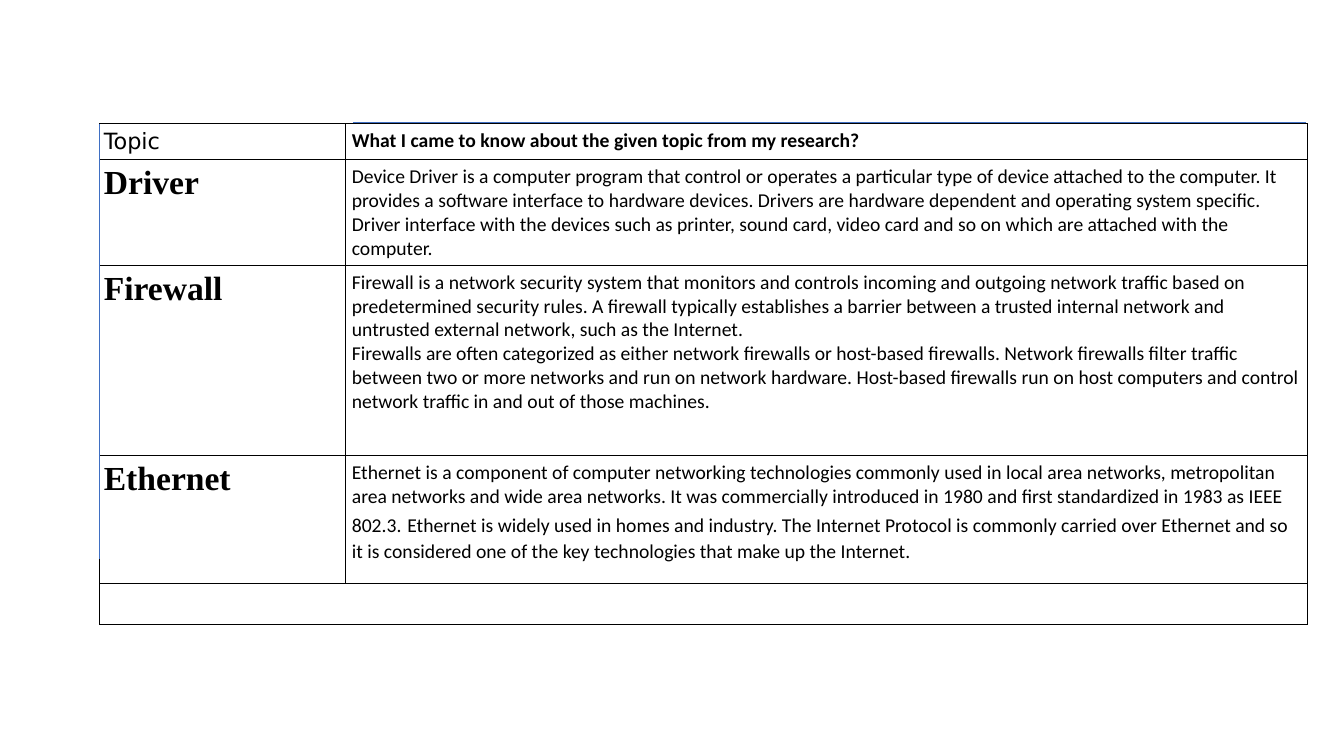
"""Build a slide with a table of research notes on three computing topics."""
from lxml.etree import SubElement
from pptx import Presentation
from pptx.dml.color import RGBColor
from pptx.enum.shapes import MSO_CONNECTOR as Connector
from pptx.oxml.ns import qn
from pptx.util import Inches, Pt

BLACK = RGBColor(0x00, 0x00, 0x00)
BLUE = RGBColor(0x3F, 0x6F, 0xC3)
STEP = Inches(0.01)
COLUMNS = [244, 954]
ROWS = [29, 98, 189, 127, 37]
LEFT, TOP = 99, 123
PADDING = [4, 6]

HEADING = ("Times New Roman", 24, True)
BODY = ("Calibri", 14, False)
NOTES = [
    (
        [[("Topic", "DejaVu Sans", 16, False)]],
        [[("What I came to know about the given topic from my research?", "Calibri", 14, True)]],
    ),
    (
        [[("Driver", *HEADING)]],
        [[("Device Driver is a computer program that control or operates a particular type of "
           "device attached to the computer. It provides a software interface to hardware devices. "
           "Drivers are hardware dependent and operating system specific. Driver interface with the "
           "devices such as printer, sound card, video card and so on which are attached with the "
           "computer.", *BODY)]],
    ),
    (
        [[("Firewall", *HEADING)]],
        [[("Firewall is a network security system that monitors and controls incoming and "
           "outgoing network traffic based on predetermined security rules. A firewall typically "
           "establishes a barrier between a trusted internal network and untrusted external network, "
           "such as the Internet.", *BODY)],
         [("Firewalls are often categorized as either network firewalls or host-based firewalls. "
           "Network firewalls filter traffic between two or more networks and run on network "
           "hardware. Host-based firewalls run on host computers and control network traffic in and "
           "out of those machines.", *BODY)]],
    ),
    (
        [[("Ethernet", *HEADING)]],
        [[("Ethernet is a component of computer networking technologies commonly used in local area "
           "networks, metropolitan area networks and wide area networks. It was commercially "
           "introduced in 1980 and first standardized in 1983 as IEEE 802.3.", *BODY),
          (" ", "Calibri", 18, False),
          ("Ethernet is widely used in homes and industry. The Internet Protocol is commonly "
           "carried over Ethernet and so it is considered one of the key technologies that make up "
           "the Internet.", *BODY)]],
    ),
]


def write_cell(cell, paragraphs):
    for index, runs in enumerate(paragraphs):
        frame = cell.text_frame
        paragraph = frame.paragraphs[0] if index == 0 else frame.add_paragraph()
        for text, font, size, bold in runs:
            run = paragraph.add_run()
            run.text = text
            run.font.name = font
            run.font.size = Pt(size)
            run.font.bold = bold
            run.font.color.rgb = BLACK


def outline_cell(cell):
    properties = cell._tc.get_or_add_tcPr()
    for side in ("a:lnL", "a:lnR", "a:lnT", "a:lnB"):
        border = SubElement(properties, qn(side), w=str(Pt(0.79)))
        SubElement(SubElement(border, qn("a:solidFill")), qn("a:srgbClr"), val=str(BLACK))
    cell.fill.background()


deck = Presentation()
deck.slide_width = 1333 * STEP
deck.slide_height = 750 * STEP
slide = deck.slides.add_slide(deck.slide_layouts[6])

topics = slide.shapes.add_table(
    len(ROWS), len(COLUMNS), LEFT * STEP, TOP * STEP, sum(COLUMNS) * STEP, sum(ROWS) * STEP
).table
topics.first_row = False
topics.horz_banding = False
for column, width in zip(topics.columns, COLUMNS):
    column.width = width * STEP
for row, height in zip(topics.rows, ROWS):
    row.height = height * STEP
    for cell, padding in zip(row.cells, PADDING):
        cell.margin_left = cell.margin_right = padding * STEP
        cell.margin_top = cell.margin_bottom = 5 * STEP
        outline_cell(cell)
for row, note in zip(topics.rows, NOTES):
    for cell, paragraphs in zip(row.cells, note):
        write_cell(cell, paragraphs)
topics.cell(4, 0).merge(topics.cell(4, 1))

for ends in [(350, 122, 1295, 122), (LEFT, TOP, LEFT, 555)]:
    accent = slide.shapes.add_connector(Connector.STRAIGHT, *(end * STEP for end in ends))
    accent.line.color.rgb = BLUE
    accent.line.width = Pt(0.75)
    SubElement(accent._element.spPr, qn("a:effectLst"))

deck.save("out.pptx")
